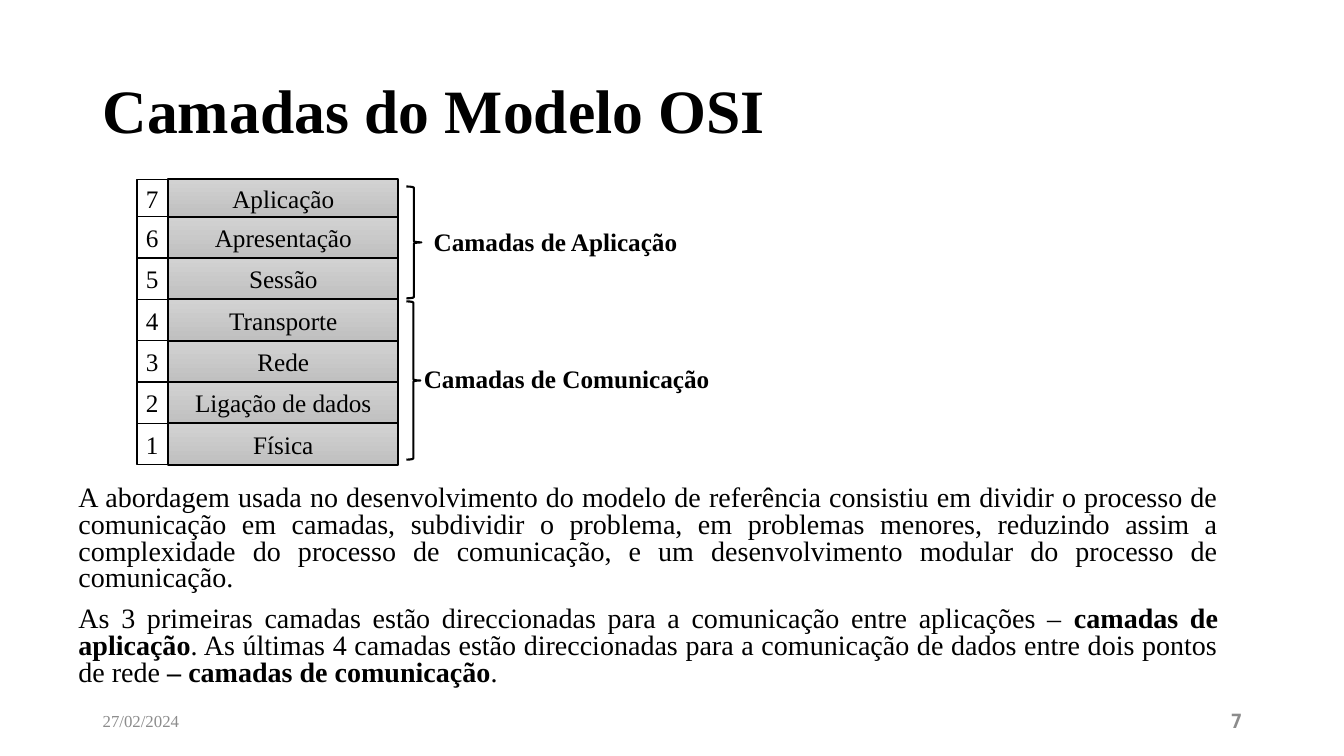
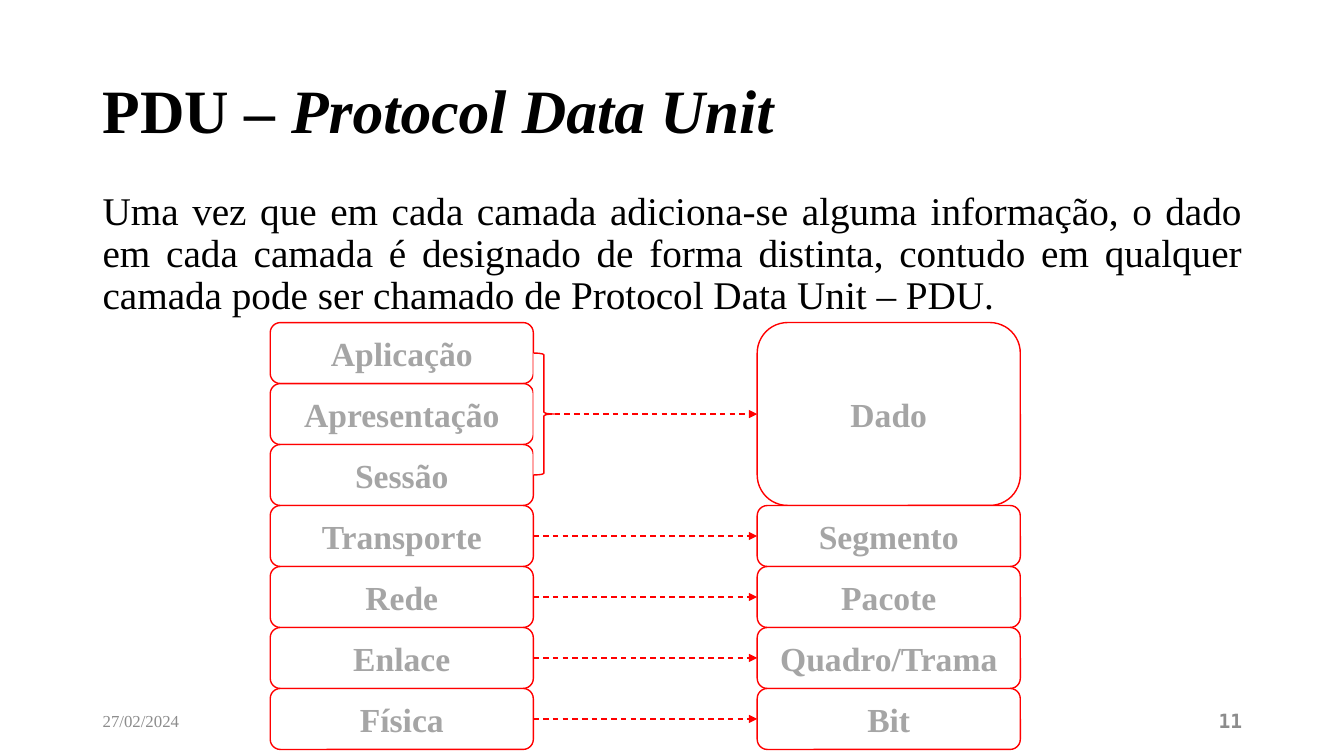
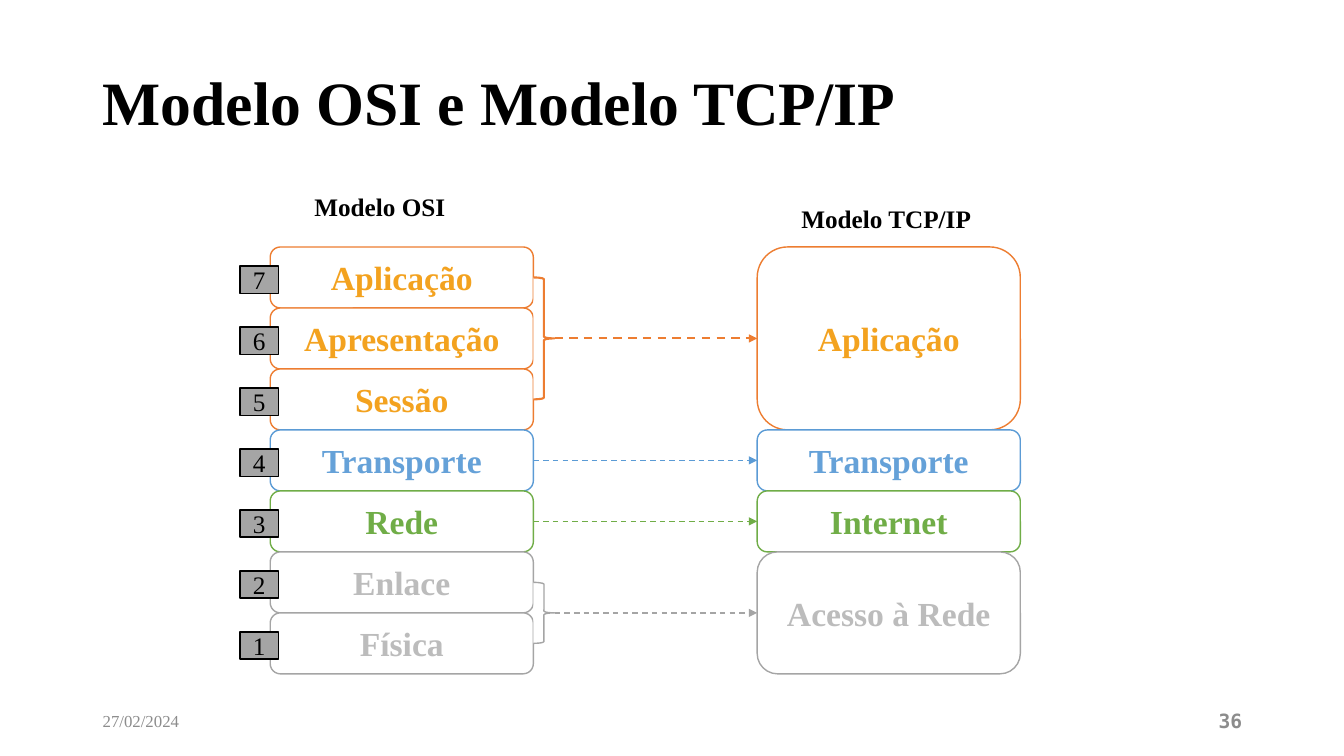
"""Builds three slides on the layers of the OSI and TCP/IP models."""
from lxml import etree
from pptx import Presentation
from pptx.dml.color import RGBColor
from pptx.enum import dml, shapes, text
from pptx.oxml import ns
from pptx.util import Inches, Pt

SERIF, MONO = "Times New Roman", "DejaVu Sans Mono"
BLACK, WHITE, GREY, RED = "000000", "FFFFFF", "8C8C8C", "FF0000"
ORANGE, BLUE, GREEN, SILVER = "ED7D31", "5B9BD5", "70AD47", "A5A5A5"
SHAPE, ALIGN, ANCHOR = shapes.MSO_SHAPE, text.PP_ALIGN, text.MSO_ANCHOR
ROW, BOX_W, LEFT, RIGHT, BRACE_W = 0.605, 2.61, 2.68, 7.51, 0.21


def rgb(value):
    """Return the colour for a hex string."""
    return RGBColor.from_string(value)


def write(sp, paras, size, color=BLACK, font=SERIF, bold=None, align=ALIGN.LEFT,
          anchor=ANCHOR.TOP, spacing=None, before=None, wrap=True):
    """Fill a text frame; a paragraph is a list of (text, style letters) runs."""
    tf = sp.text_frame
    tf.word_wrap, tf.vertical_anchor = wrap, anchor
    for i, runs in enumerate(paras):
        p = tf.add_paragraph() if i else tf.paragraphs[0]
        p.alignment, p.line_spacing = align, spacing
        if before:
            p.space_before = Pt(before)
        p.font.size, p.font.name, p.font.bold = Pt(size), font, bold
        p.font.color.rgb = rgb(color)
        for content, style in runs:
            r = p.add_run()
            r.text = content
            if "b" in style:
                r.font.bold = True
            if "i" in style:
                r.font.italic = True


def add_text(s, at, paras, size, **style):
    """Add a text box."""
    sp = s.shapes.add_textbox(*map(Inches, at))
    write(sp, paras, size, **style)


def add_shape(s, kind, at, line, weight=1, fill=None):
    """Add an outlined shape without shadow."""
    sp = s.shapes.add_shape(kind, *map(Inches, at))
    sp.shadow.inherit = False
    sp.line.color.rgb, sp.line.width = rgb(line), Pt(weight)
    if fill is None:
        sp.fill.background()
    elif isinstance(fill, str):
        sp.fill.solid()
        sp.fill.fore_color.rgb = rgb(fill)
    else:
        sp.fill.gradient()
        sp.fill.gradient_angle = 270
        for stop, color in zip(sp.fill.gradient_stops, fill):
            stop.color.rgb = rgb(color)
    return sp


def add_box(s, kind, at, label, size, line, weight=1, fill=WHITE, color=BLACK, bold=None):
    """Add a shape with a centred label."""
    sp = add_shape(s, kind, at, line, weight, fill)
    tf = sp.text_frame
    tf.margin_left = tf.margin_right = tf.margin_top = tf.margin_bottom = 0
    write(sp, [[(label, "")]], size, color, bold=bold, align=ALIGN.CENTER,
          anchor=ANCHOR.MIDDLE)


def add_arrow(s, x1, x2, y, color, weight):
    """Add a dashed horizontal arrow."""
    c = s.shapes.add_connector(shapes.MSO_CONNECTOR.STRAIGHT,
                               Inches(x1), Inches(y), Inches(x2), Inches(y))
    c.line.color.rgb, c.line.width = rgb(color), Pt(weight)
    c.line.dash_style = dml.MSO_LINE.DASH
    etree.SubElement(c.line._get_or_add_ln(), ns.qn("a:tailEnd"), type="triangle")
    etree.SubElement(c._element.spPr, ns.qn("a:effectLst"))


def add_slide(prs, title, number, title_h=1.45):
    """Add a slide with title, date and number."""
    s = prs.slides.add_slide(prs.slide_layouts[6])
    add_text(s, (0.92, 0.4, 11.5, title_h), [title], 44, bold=True,
             anchor=ANCHOR.MIDDLE, spacing=0.9)
    add_text(s, (0.92, 6.95, 3, 0.4), [[("27/02/2024", "")]], 12, color=GREY,
             anchor=ANCHOR.MIDDLE)
    add_text(s, (9.42, 6.95, 3, 0.4), [[(str(number), "")]], 14, color=GREY, font=MONO,
             bold=True, align=ALIGN.RIGHT, anchor=ANCHOR.MIDDLE)
    return s


def add_mapping(s, top, groups):
    """Draw layers on the left, each group joined to its box on the right."""
    y = top
    for label, layers, line, color, weight in groups:
        height = ROW * len(layers)
        look = dict(size=24, line=line, color=color, bold=True)
        for i, layer in enumerate(layers):
            add_box(s, SHAPE.ROUNDED_RECTANGLE, (LEFT, y + i * ROW, BOX_W, ROW), layer, **look)
        add_box(s, SHAPE.ROUNDED_RECTANGLE, (RIGHT, y, BOX_W, height), label, **look)
        start = LEFT + BOX_W
        if len(layers) > 1:
            add_shape(s, SHAPE.RIGHT_BRACE, (start, y + ROW / 2, BRACE_W, height - ROW),
                      line, weight, WHITE)
            start += BRACE_W
        add_arrow(s, start, RIGHT, y + height / 2, line, weight)
        y += height


def osi_layers(prs):
    """Build the slide on the seven layers."""
    s = add_slide(prs, [("Camadas do Modelo OSI", "")], 7)
    names = ["Aplicação", "Apresentação", "Sessão", "Transporte", "Rede",
             "Ligação de dados", "Física"]
    for i, name in enumerate(names):
        bottom = 2.15 + 0.41 * i
        top = max(1.78, bottom - 0.41)
        add_box(s, SHAPE.RECTANGLE, (1.36, top, 0.3, bottom - top), str(7 - i), 18, BLACK)
        add_box(s, SHAPE.RECTANGLE, (1.67, top, 2.28, bottom - top), name, 18, BLACK, 1.5,
                ("D2D2D2", "C0C0C0"))
    for brace, label, name in (
            ((4.03, 1.85, 0.15, 1.11), (4.19, 2.2, 2.64, 0.4), "Camadas de Aplicação"),
            ((4.03, 2.99, 0.14, 1.57), (4.09, 3.56, 3.06, 0.4), "Camadas de Comunicação")):
        add_shape(s, SHAPE.RIGHT_BRACE, brace, BLACK, 1.5)
        add_text(s, label, [[(name, "")]], 18, bold=True, align=ALIGN.CENTER, wrap=False)
    add_text(s, (0.68, 4.77, 11.5, 2.17), [
        [("A abordagem usada no desenvolvimento do modelo de referência consistiu em dividir "
          "o processo de comunicação em camadas, subdividir o problema, em problemas menores, "
          "reduzindo assim a complexidade do processo de comunicação, e um desenvolvimento "
          "modular do processo de comunicação.", "")],
        [("As 3 primeiras camadas estão direccionadas para a comunicação entre aplicações – ", ""),
         ("camadas de aplicação", "b"),
         (". As últimas 4 camadas estão direccionadas para a comunicação de dados entre dois "
          "pontos de rede ", ""),
         ("– camadas de comunicação", "b"), (".", "")],
    ], 20, align=ALIGN.JUSTIFY, spacing=0.8, before=10)


def pdu(prs):
    """Build the slide on the data unit of each layer."""
    s = add_slide(prs, [("PDU – ", ""), ("Protocol Data Unit", "i")], 11)
    add_text(s, (0.92, 1.85, 11.5, 4.76), [[
        ("Uma vez que em cada camada adiciona-se alguma informação, o dado em cada camada é "
         "designado de forma distinta, contudo em qualquer camada pode ser chamado de "
         "Protocol Data Unit – PDU.", "")]],
        28, align=ALIGN.JUSTIFY, spacing=0.9, before=10)
    units = [("Dado", ["Aplicação", "Apresentação", "Sessão"]), ("Segmento", ["Transporte"]),
             ("Pacote", ["Rede"]), ("Quadro/Trama", ["Enlace"]), ("Bit", ["Física"])]
    add_mapping(s, 3.2, [(unit, layers, RED, SILVER, 1) for unit, layers in units])


def osi_tcpip(prs):
    """Build the slide that compares both models."""
    s = add_slide(prs, [("Modelo OSI e Modelo TCP/IP", "")], 36, 1.3)
    top = 2.45
    add_mapping(s, top, [
        ("Aplicação", ["Aplicação", "Apresentação", "Sessão"], ORANGE, "F3A21F", 1.5),
        ("Transporte", ["Transporte"], BLUE, "65A1D8", 1),
        ("Internet", ["Rede"], GREEN, GREEN, 1),
        ("Acesso à Rede", ["Enlace", "Física"], SILVER, "BCBCBC", 1)])
    for i in range(7):
        add_box(s, SHAPE.RECTANGLE, (2.38, top + 0.19 + i * ROW, 0.38, 0.27), str(7 - i), 18,
                BLACK, fill=SILVER)
    for x, y, name in ((3.02, 1.85, "Modelo OSI"), (7.85, 1.97, "Modelo TCP/IP")):
        add_text(s, (x, y, 1.94, 0.4), [[(name, "")]], 18, bold=True)


def main():
    """Build and save the presentation."""
    prs = Presentation()
    prs.slide_width, prs.slide_height = Inches(13.33), Inches(7.5)
    osi_layers(prs)
    pdu(prs)
    osi_tcpip(prs)
    prs.save("out.pptx")


if __name__ == "__main__":
    main()
